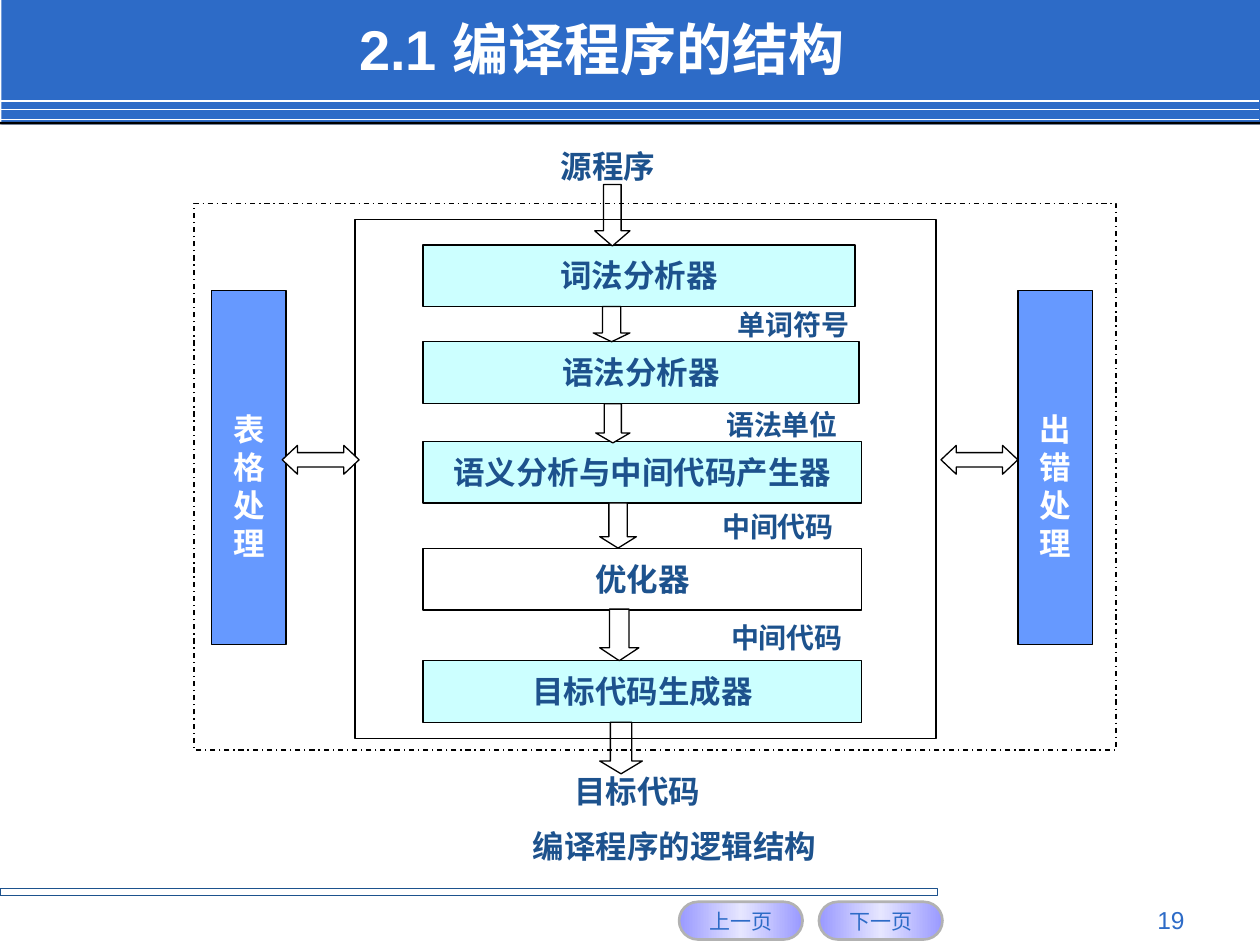
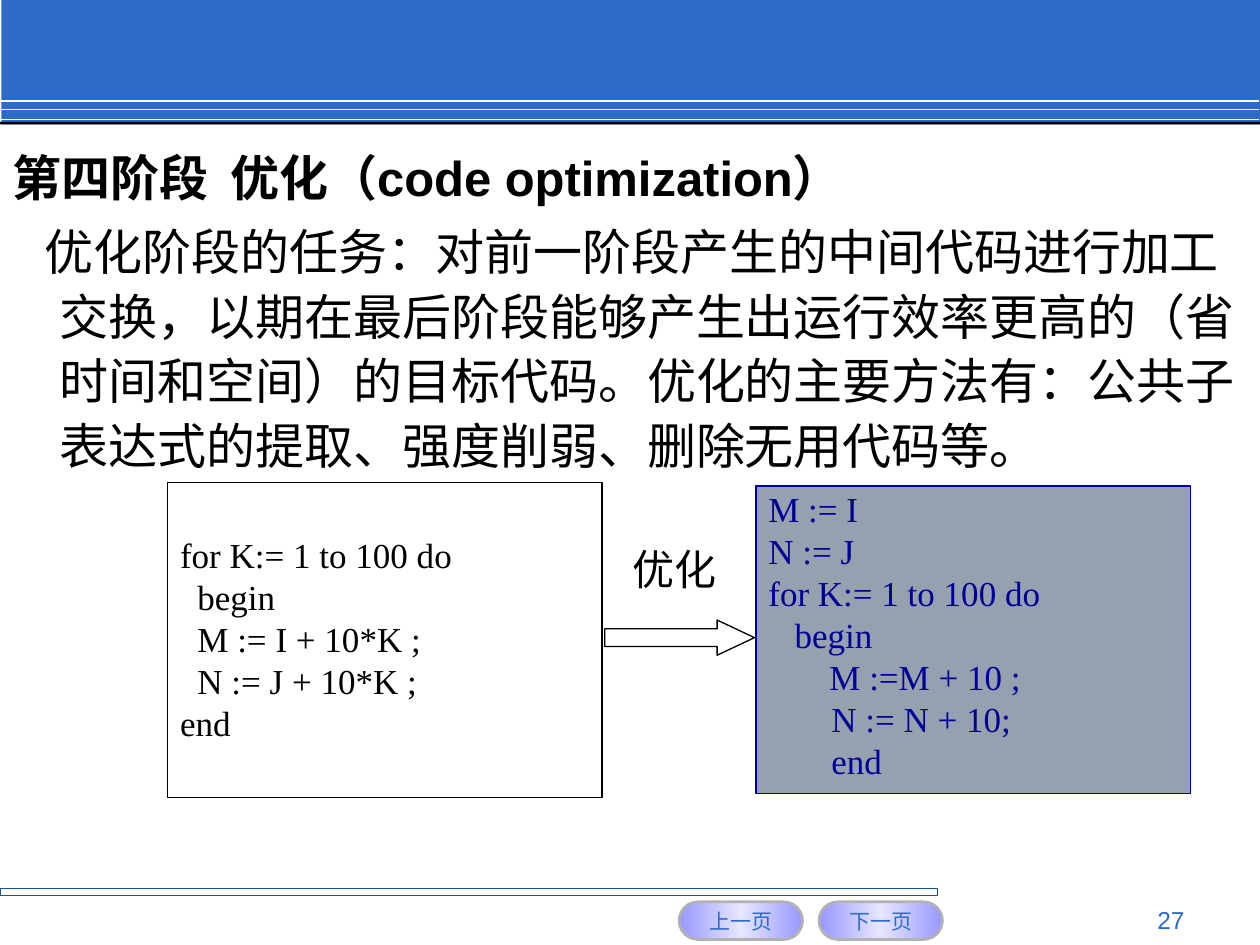
from pptx import Presentation
from pptx.dml.color import RGBColor
from pptx.enum.dml import MSO_LINE
from pptx.enum.shapes import MSO_CONNECTOR, MSO_SHAPE
from pptx.enum.text import MSO_ANCHOR, PP_ALIGN
from pptx.oxml.ns import qn
from pptx.util import Cm, Pt
from lxml import etree

RECT, ROUND = MSO_SHAPE.RECTANGLE, MSO_SHAPE.ROUNDED_RECTANGLE
DOWN, RIGHT_ARROW = MSO_SHAPE.DOWN_ARROW, MSO_SHAPE.RIGHT_ARROW
BOTH_WAYS = MSO_SHAPE.LEFT_RIGHT_ARROW
STRAIGHT, DASH_DOT = MSO_CONNECTOR.STRAIGHT, MSO_LINE.DASH_DOT
LEFT, CENTER, RIGHT = PP_ALIGN.LEFT, PP_ALIGN.CENTER, PP_ALIGN.RIGHT
TOP, MIDDLE = MSO_ANCHOR.TOP, MSO_ANCHOR.MIDDLE

C = {
    "blue": "2D6BC7", "navy": "1D528D", "white": "FFFFFF", "black": "000000",
    "cyan": "CCFFFF", "bar": "6699FF", "slate": "96A1B0", "ink": "000099",
    "lilac": "9999FF", "pale": "E6E6FF", "gray": "B2B2B2",
}
SANS, SERIF = "Arial", "Times New Roman"
SLIDE_W, SLIDE_H = 25.4, 19.05
INSETS = (0.25, 0.13, 0.25, 0.13)        # left, top, right, bottom
TIGHT = (0.15, 0.23, 0.15, 0.13)

# Text formats
TITLE = {"name": SANS, "size": Pt(32), "bold": True, "color": "white"}
HEADING = {"name": SANS, "size": Pt(28), "bold": True, "color": "black"}
BODY = {"name": SANS, "size": Pt(28), "color": "black"}
BUTTON = {"name": SANS, "size": Pt(12), "color": "blue"}
PAGE_NO = {"name": SANS, "size": Pt(14), "color": "blue"}
STAGE = {"name": SERIF, "size": Pt(18), "bold": True, "color": "navy"}
FLOW = {**STAGE, "size": Pt(16)}
SIDE = {**STAGE, "color": "white"}
CODE = {"name": SERIF, "size": Pt(20), "color": "black"}
STEP = {**CODE, "size": Pt(24)}


def rgb(name):
    return RGBColor.from_string(C[name])


def shape(s, kind, box, fill=None, line="black", width=0.75, adj=()):
    sp = s.shapes.add_shape(kind, *map(Cm, box))
    sp.shadow.inherit = False
    if fill:
        sp.fill.solid()
        sp.fill.fore_color.rgb = rgb(fill)
    else:
        sp.fill.background()
    if line:
        sp.line.color.rgb = rgb(line)
        sp.line.width = Pt(width)
    else:
        sp.line.fill.background()
    for i, value in enumerate(adj):
        sp.adjustments[i] = value
    return sp


def write(sp, lines, fmt, align=LEFT, anchor=TOP, insets=INSETS, wrap=True):
    """Fill a shape with paragraphs and return them."""
    tf = sp.text_frame
    tf.word_wrap, tf.vertical_anchor = wrap, anchor
    for side, value in zip(("left", "top", "right", "bottom"), insets):
        setattr(tf, "margin_" + side, Cm(value))
    for i, text in enumerate(lines):
        p = tf.add_paragraph() if i else tf.paragraphs[0]
        p.alignment = align
        r = p.add_run()
        r.text = text
        for key, value in fmt.items():
            if key == "color":
                r.font.color.rgb = rgb(value)
            else:
                setattr(r.font, key, value)
    return tf.paragraphs


def label(s, box, text, fmt, **options):
    return write(s.shapes.add_textbox(*map(Cm, box)), [text], fmt, **options)


def indent(p, left, first=0):
    pPr = p._p.get_or_add_pPr()
    pPr.set("marL", str(Cm(left)))
    pPr.set("indent", str(Cm(first)))


def placer(box):
    """Turn positions inside the box into positions on the slide."""
    return lambda x, y, w, h: (box[0] + x, box[1] + y, w, h)


# Parts shared by all slides
def header_band(s, box):
    at = placer(box)
    shape(s, RECT, at(0.03, 0, box[2], box[3]), "blue", None)
    for y in (2.03, 2.21, 2.41):
        x, top, w, _ = at(0, y, box[2], 0)
        line = s.shapes.add_connector(STRAIGHT, *map(Cm, (x, top, x + w, top)))
        line.line.color.rgb = rgb("white")
        line.line.width = Pt(1)
        etree.SubElement(line._element.spPr, qn("a:effectLst"))
    shape(s, RECT, at(0, 2.46, SLIDE_W, 0.05), "black", None)


def nav_button(s, box, text):
    sp = shape(s, ROUND, box, "lilac", "gray", 1.5, (0.5,))
    sp.fill.gradient()
    sp.fill.gradient_angle = 0
    stops = sp.fill._fill._gradFill.find(qn("a:gsLst"))
    for stop in list(stops):
        stops.remove(stop)
    for pos, color in ((0, "lilac"), (50, "pale"), (100, "lilac")):
        stop = etree.SubElement(stops, qn("a:gs"), pos=str(pos * 1000))
        etree.SubElement(stop, qn("a:srgbClr"), val=C[color])
    write(sp, [text], BUTTON, align=CENTER, anchor=MIDDLE, wrap=False)


def footer(s, box, number):
    at = placer(box)
    shape(s, RECT, at(0, 0, 18.9, 0.15), line="navy")
    for i, text in enumerate(("上一页", "下一页")):
        nav_button(s, at(13.69 + 2.82 * i, 0.27, 2.49, 0.76), text)
    label(s, at(18.21, 0.2, 5.92, 0.69), str(number), PAGE_NO, align=RIGHT)


def new_slide(prs, number):
    s = prs.slides.add_slide(prs.slide_layouts[6])
    header_band(s, (0, 0, SLIDE_W - 0.03, 2.51))
    footer(s, (0, 17.91, SLIDE_W, SLIDE_H - 17.91), number)
    return s


# Compiler structure: stages, arrows, frames and side bars
def compiler_diagram(s, box):
    at = placer(box)
    stages = [
        (0.84, 8.71, "词法分析器", "cyan"),
        (2.79, 8.79, "语法分析器", "cyan"),
        (4.8, 8.84, "语义分析与中间代码产生器", "cyan"),
        (6.96, 8.84, "优化器", "white"),
        (9.22, 8.84, "目标代码生成器", "cyan"),
    ]
    for y, w, text, fill in stages:
        sp = shape(s, RECT, at(4.62, y, w, 1.24), fill)
        write(sp, [text], STAGE, align=CENTER, insets=TIGHT)

    arrows = [
        (8.08, -0.38, 0.71, 1.24, 0.43), (8.05, 2.08, 0.74, 0.71, 0.25),
        (8.1, 4.04, 0.69, 0.79, 0.29), (8.18, 6.04, 0.74, 0.91, 0.31),
        (8.18, 8.18, 0.79, 1.04, 0.33), (8.18, 10.46, 0.86, 1.04, 0.3),
    ]
    for *place, head in arrows:
        shape(s, DOWN, at(*place), "white", adj=(0.5, head))

    # Frames
    shape(s, RECT, at(0, 0, *box[2:])).line.dash_style = DASH_DOT
    shape(s, RECT, at(3.25, 0.33, 11.71, 10.46))

    # Side bars and their two-way arrows
    for bar_x, arrow_x, text in ((0.36, 1.78, "表格处理"),
                                 (16.61, 15.06, "出错处理")):
        sp = shape(s, RECT, at(bar_x, 1.75, 1.5, 7.14), "bar")
        write(sp, [text], SIDE, align=CENTER, insets=(0.15, 2.42, 0.15, 0.13))
        shape(s, BOTH_WAYS, at(arrow_x, 4.88, 1.55, 0.58), "white",
              adj=(0.5, 0.53))

    # Input, output, what passes between stages, caption
    labels = [
        (7.24, -1.37, 2.21, 1.12, "源程序", STAGE),
        (7.52, 11.23, 2.84, 1.12, "目标代码", STAGE),
        (10.8, 1.88, 2.57, 1.04, "单词符号", FLOW),
        (10.57, 3.89, 2.57, 1.04, "语法单位", FLOW),
        (10.49, 5.94, 2.57, 1.04, "中间代码", FLOW),
        (10.67, 8.18, 2.57, 1.04, "中间代码", FLOW),
        (3.96, 12.34, 11.46, 1.12, "编译程序的逻辑结构", STAGE),
    ]
    for *place, text, fmt in labels:
        label(s, at(*place), text, fmt, align=CENTER, insets=TIGHT, wrap=False)


# Code before and after optimization
def code_box(s, box, fill, line, color, top, code):
    sp = shape(s, RECT, box, fill, line)
    paragraphs = write(sp, [text for text, _ in code], {**CODE, "color": color},
                       insets=(0.25, top, 0.25, 0.03))
    for p, (_, left) in zip(paragraphs, code):
        p.line_spacing = Pt(24)
        indent(p, left)


def code_comparison(s, box):
    at = placer(box)
    before = [("for K:= 1 to 100 do", 0), ("begin", 0.35),
              ("M := I + 10*K ;", 0.35), ("N := J + 10*K ;", 0.35), ("end", 0)]
    after = [("M := I", 0), ("N := J", 0), ("for K:= 1 to 100 do", 0),
             ("begin", 0.53), ("M :=M + 10 ;", 1.23), ("N := N + 10;", 1.27),
             ("end", 1.27)]
    code_box(s, at(0, 0, 8.76, 6.35), "white", "black", "black", 1.02, before)
    code_box(s, at(11.86, 0.07, 8.76, 6.2), "slate", "ink", "ink", 0.02, after)
    shape(s, RIGHT_ARROW, at(8.81, 2.77, 3.02, 0.71), "white", adj=(0.5, 1.06))
    label(s, at(9.12, 1.09, 2.7, 1.27), "优化", STEP)


def structure_slide(prs):
    s = new_slide(prs, 19)
    label(s, (6.99, 0.23, 17.58, 1.47), "2.1 编译程序的结构", TITLE,
          anchor=MIDDLE)
    compiler_diagram(s, (3.91, 4.1, 18.59, 11.02))


def optimization_slide(prs):
    s = new_slide(prs, 27)
    label(s, (0, 2.64, 23.29, 1.85), "第四阶段  优化（code optimization）",
          HEADING, anchor=MIDDLE)
    p = label(s, (0, 4.22, SLIDE_W, 5.49),
              "优化阶段的任务：对前一阶段产生的中间代码进行加工交换，"
              "以期在最后阶段能够产生出运行效率更高的（省时间和空间）的目标代码。"
              "优化的主要方法有：公共子表达式的提取、强度削弱、删除无用代码等。",
              BODY)[0]
    p.line_spacing, p.space_before = 1.1, Pt(7)
    indent(p, 0.96, -0.31)
    code_comparison(s, (3.38, 9.73, 20.62, 6.35))


def main():
    prs = Presentation()
    prs.slide_width, prs.slide_height = Cm(SLIDE_W), Cm(SLIDE_H)
    structure_slide(prs)
    optimization_slide(prs)
    prs.save("out.pptx")


if __name__ == "__main__":
    main()
